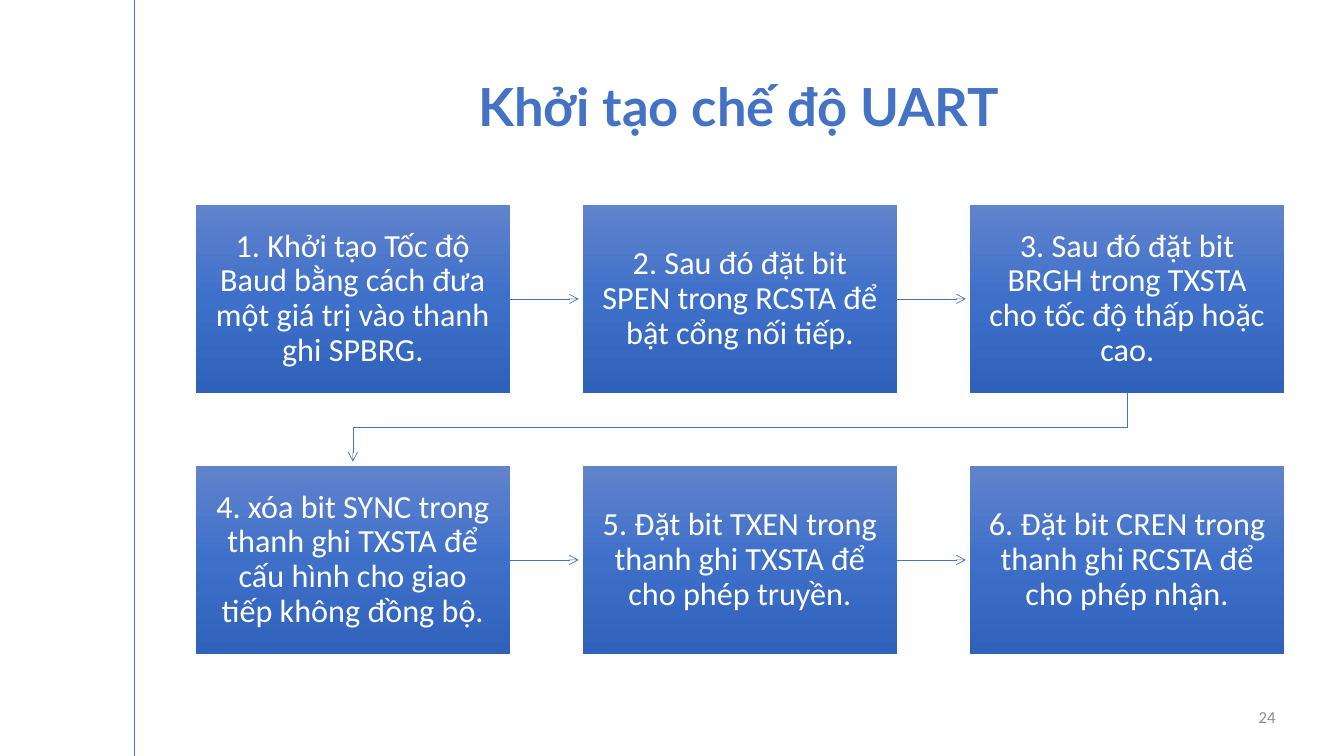
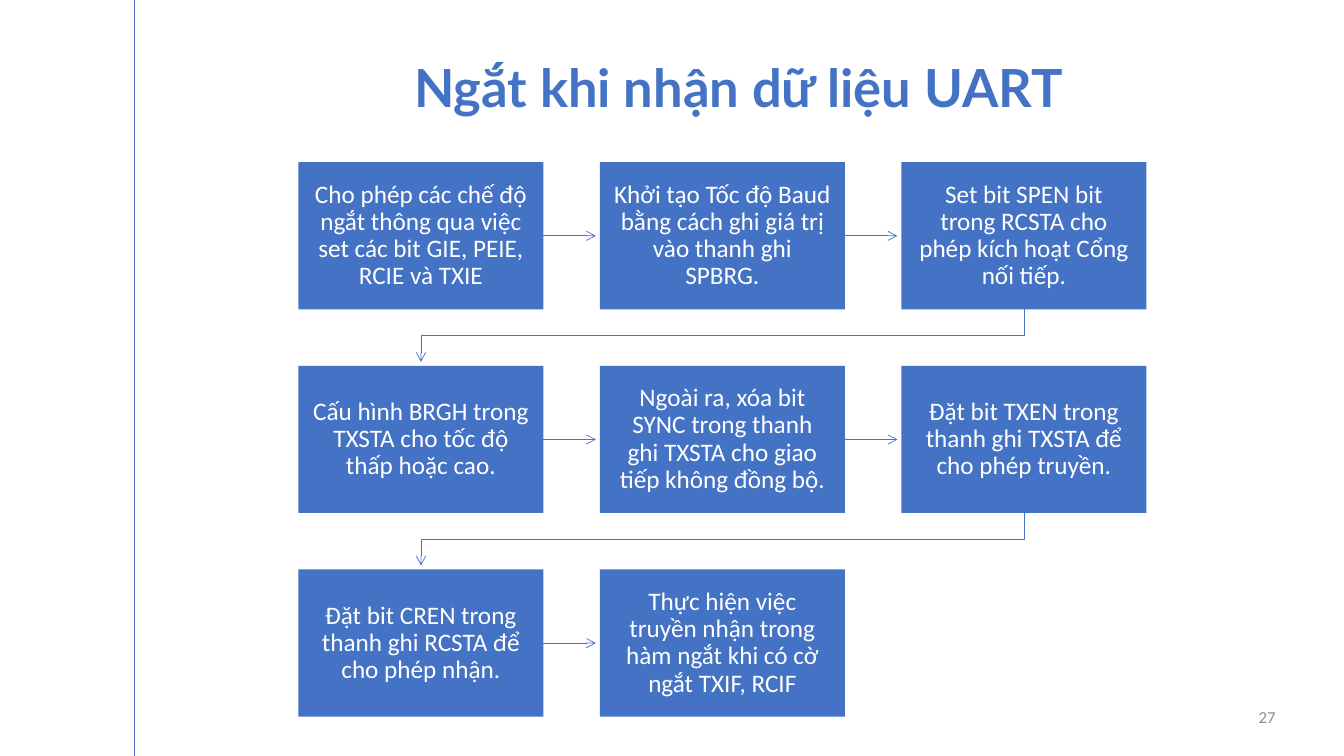
import copy
import dataclasses
import typing

import lxml.etree
import pptx
import pptx.dml.color
import pptx.enum.shapes
import pptx.enum.text
import pptx.oxml.ns
import pptx.util

Inches = pptx.util.Inches
Pt = pptx.util.Pt
ALIGN = pptx.enum.text.PP_ALIGN
ANCHOR = pptx.enum.text.MSO_ANCHOR
LINK = pptx.enum.shapes.MSO_CONNECTOR
qn = pptx.oxml.ns.qn

BLUE = "4472C4"
WHITE = "FFFFFF"
GRAY = "8C8C8C"
SHADE = ("6183CB", "3E70CA", "3062BB")
COLS = 3
TIP = 0.04  # space between an arrow tip and the next box


@dataclasses.dataclass
class Style:
    font: str
    size: float
    color: str
    bold: bool = False
    align: typing.Any = ALIGN.CENTER
    anchor: typing.Any = ANCHOR.MIDDLE
    spacing: float = 1.0
    inset: tuple[float, float] = (0.1, 0.05)


@dataclasses.dataclass
class Flow:
    """A slide whose steps run left to right, row after row."""
    title: str
    title_top: float
    number: str
    left: float
    top: float
    width: float
    height: float
    gap: float
    size: float
    inset: float
    fill: tuple[str, ...]
    steps: tuple[str, ...]

    def spot(self, index: int) -> tuple[float, float]:
        row, col = divmod(index, COLS)
        return (self.left + col * (self.width + self.gap),
                self.top + row * (self.height + self.gap))


TITLE = Style("Lato", 37.5, BLUE, bold=True, anchor=ANCHOR.BOTTOM, spacing=0.7)
NUMBER = Style("Calibri", 12, GRAY, align=ALIGN.RIGHT)

FLOWS = (
    Flow("Khởi tạo chế độ UART", 0.8, "24",
         1.94, 2.03, 3.12, 1.87, 0.72, 23, 0.18, SHADE, (
             "1. Khởi tạo Tốc độ Baud bằng cách đưa một giá trị vào thanh ghi SPBRG.",
             "2. Sau đó đặt bit SPEN trong RCSTA để bật cổng nối tiếp.",
             "3. Sau đó đặt bit BRGH trong TXSTA cho tốc độ thấp hoặc cao.",
             "4. xóa bit SYNC trong thanh ghi TXSTA để cấu hình cho giao tiếp không đồng bộ.",
             "5. Đặt bit TXEN trong thanh ghi TXSTA để cho phép truyền.",
             "6. Đặt bit CREN trong thanh ghi RCSTA để cho phép nhận.")),
    Flow("Ngắt khi nhận dữ liệu UART", 0.61, "27",
         2.96, 1.61, 2.43, 1.46, 0.56, 18, 0.14, (BLUE,), (
             "Cho phép các chế độ ngắt thông qua việc set các bit GIE, PEIE, RCIE và TXIE",
             "Khởi tạo Tốc độ Baud bằng cách ghi giá trị vào thanh ghi SPBRG.",
             "Set bit SPEN bit trong RCSTA cho phép kích hoạt Cổng nối tiếp.",
             "Cấu hình BRGH trong TXSTA cho tốc độ thấp hoặc cao.",
             "Ngoài ra, xóa bit SYNC trong thanh ghi TXSTA cho giao tiếp không đồng bộ.",
             "Đặt bit TXEN trong thanh ghi TXSTA để cho phép truyền.",
             "Đặt bit CREN trong thanh ghi RCSTA để cho phép nhận.",
             "Thực hiện việc truyền nhận trong hàm ngắt khi có cờ ngắt TXIF, RCIF")),
)


def rgb(code: str) -> pptx.dml.color.RGBColor:
    return pptx.dml.color.RGBColor.from_string(code)


def apply(item: typing.Any, values: dict[str, typing.Any]) -> None:
    for name, value in values.items():
        setattr(item, name, value)


def write(shape: typing.Any, text: str, style: Style) -> None:
    frame = shape.text_frame
    frame.text = text
    wide, high = map(Inches, style.inset)
    apply(frame, {"auto_size": pptx.enum.text.MSO_AUTO_SIZE.NONE,
                  "word_wrap": True, "vertical_anchor": style.anchor,
                  "margin_left": wide, "margin_right": wide,
                  "margin_top": high, "margin_bottom": high})
    para = frame.paragraphs[0]
    apply(para, {"alignment": style.align, "line_spacing": style.spacing,
                 "space_before": Pt(0)})
    font = para.runs[0].font
    apply(font, {"name": style.font, "size": Pt(style.size), "bold": style.bold})
    font.color.rgb = rgb(style.color)


def paint(shape: typing.Any, codes: tuple[str, ...]) -> None:
    """Fill with one colour, or shade from top to bottom through several."""
    fill = shape.fill
    if len(codes) == 1:
        fill.solid()
        fill.fore_color.rgb = rgb(codes[0])
        return
    fill.gradient()
    fill.gradient_angle = 270
    stops = shape._element.spPr.find(".//" + qn("a:gsLst"))
    while len(stops) < len(codes):
        stops.append(copy.deepcopy(stops[0]))
    for index, (stop, code) in enumerate(zip(fill.gradient_stops, codes)):
        stop.position = index / (len(codes) - 1)
        stop.color.rgb = rgb(code)


def draw_line(slide: typing.Any, kind: typing.Any, start: tuple[float, float],
              end: tuple[float, float], arrow: bool = True) -> typing.Any:
    line = slide.shapes.add_connector(kind, *map(Inches, (*start, *end)))
    line.line.width = Pt(0.5)
    line.line.color.rgb = rgb(BLUE)
    props = line._element.spPr
    if arrow:
        lxml.etree.SubElement(props.find(qn("a:ln")), qn("a:tailEnd"), type="arrow")
    lxml.etree.SubElement(props, qn("a:effectLst"))
    return line


def draw_turn(slide: typing.Any, start: tuple[float, float],
              end: tuple[float, float]) -> None:
    """Draw an arrow that goes down, left and down: an elbow turned by 90°."""
    mid_x, mid_y = (start[0] + end[0]) / 2, (start[1] + end[1]) / 2
    half_x, half_y = (start[0] - end[0]) / 2, (end[1] - start[1]) / 2
    line = draw_line(slide, LINK.ELBOW, (mid_x - half_y, mid_y - half_x),
                     (mid_x + half_y, mid_y + half_x))
    line._element.spPr.find(qn("a:xfrm")).set("rot", "5400000")


def draw_link(slide: typing.Any, flow: Flow, index: int) -> None:
    """Draw the arrow from one step to the next."""
    left, top = flow.spot(index)
    next_left, next_top = flow.spot(index + 1)
    if next_top == top:
        mid = top + flow.height / 2
        draw_line(slide, LINK.STRAIGHT, (left + flow.width, mid),
                  (next_left - TIP, mid))
    else:
        half = flow.width / 2
        draw_turn(slide, (left + half, top + flow.height),
                  (next_left + half, next_top - TIP))


def draw_step(slide: typing.Any, flow: Flow, index: int) -> None:
    box = slide.shapes.add_shape(
        pptx.enum.shapes.MSO_SHAPE.RECTANGLE,
        *map(Inches, (*flow.spot(index), flow.width, flow.height)))
    box.shadow.inherit = False
    box.line.fill.background()
    paint(box, flow.fill)
    write(box, flow.steps[index],
          Style("Calibri", flow.size, WHITE, spacing=0.9,
                inset=(flow.inset, flow.inset)))


def draw_frame(slide: typing.Any, flow: Flow) -> None:
    """Draw what all slides share: side rule, title and page number."""
    draw_line(slide, LINK.STRAIGHT, (1.33, 0), (1.33, 7.5), arrow=False)
    title = slide.shapes.title
    apply(title, {"left": Inches(1.2), "top": Inches(flow.title_top),
                  "width": Inches(12.26), "height": Inches(0.59)})
    write(title, flow.title, TITLE)
    number = slide.shapes.add_textbox(*map(Inches, (12.31, 6.91, 0.44, 0.4)))
    write(number, flow.number, NUMBER)


def main() -> None:
    deck = pptx.Presentation()
    apply(deck, {"slide_width": Inches(13.33), "slide_height": Inches(7.5)})
    for flow in FLOWS:
        slide = deck.slides.add_slide(deck.slide_layouts[5])
        draw_frame(slide, flow)
        for index in range(len(flow.steps)):
            if index + 1 < len(flow.steps):
                draw_link(slide, flow, index)
            draw_step(slide, flow, index)
    deck.save("out.pptx")


if __name__ == "__main__":
    main()
